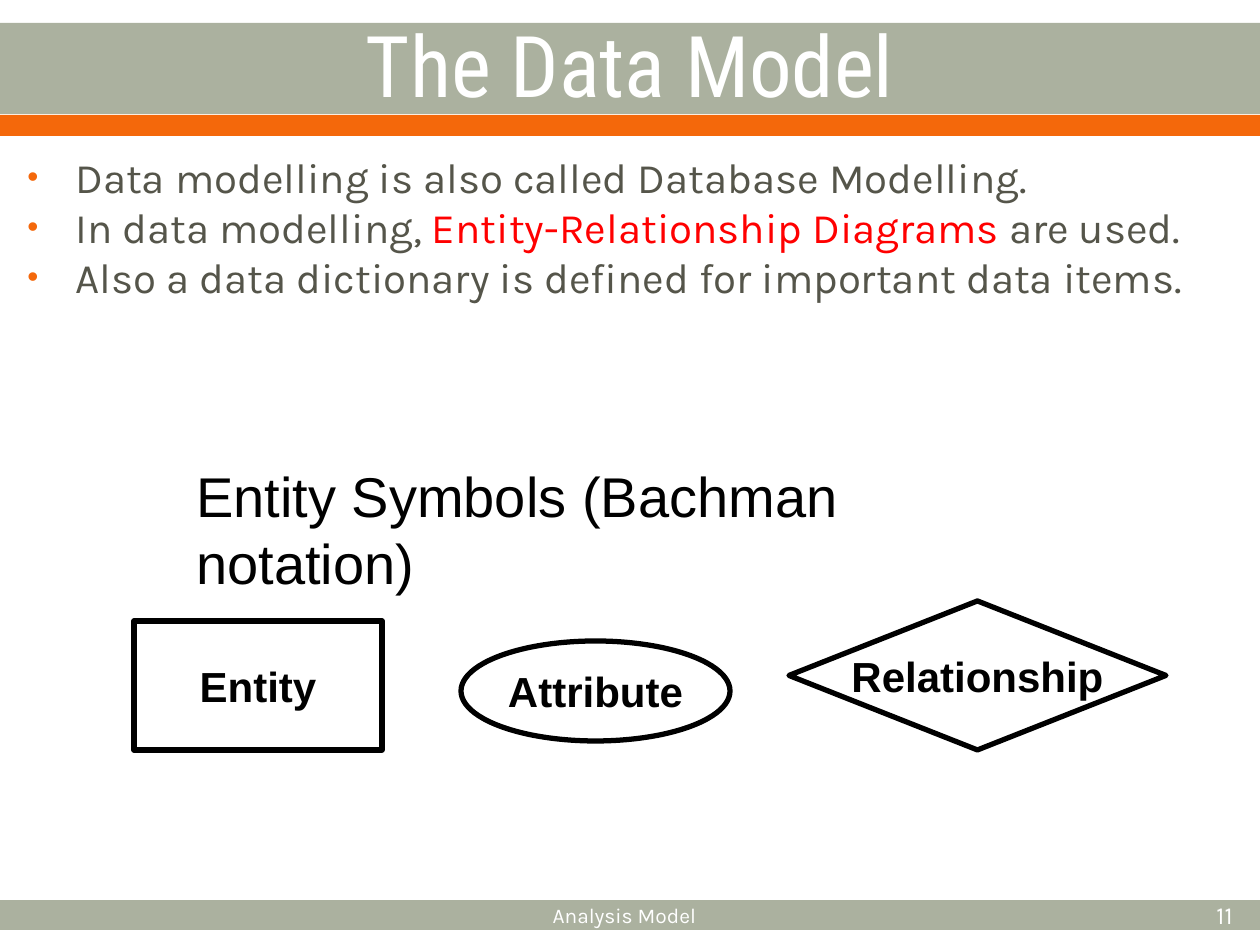
from lxml import etree
from pptx import Presentation
from pptx.dml.color import RGBColor
from pptx.enum.shapes import MSO_SHAPE
from pptx.enum.text import MSO_ANCHOR, MSO_AUTO_SIZE, PP_ALIGN
from pptx.oxml.ns import qn
from pptx.util import Pt

EMU_PER_PX = 914400 / 126
TITLE_ONLY = 5
RECTANGLE, OVAL = MSO_SHAPE.RECTANGLE, MSO_SHAPE.OVAL
DECISION = MSO_SHAPE.FLOWCHART_DECISION
LEFT, CENTER, RIGHT = PP_ALIGN.LEFT, PP_ALIGN.CENTER, PP_ALIGN.RIGHT
TOP, MIDDLE = MSO_ANCHOR.TOP, MSO_ANCHOR.MIDDLE
SAGE, ORANGE, WHITE, BLACK = "ABB19F", "F4680B", "FFFFFF", "000000"
BODY_GRAY, RED = "55554A", "FF0000"

BULLETS = [
    [("Data modelling is also called Database Modelling.", BODY_GRAY)],
    [("In data modelling, ", BODY_GRAY),
     ("Entity-Relationship Diagrams", RED),
     (" are used.", BODY_GRAY)],
    [("Also a data dictionary is defined for important data items.", BODY_GRAY)],
]
# Label, preset, and box relative to the diagram region
SYMBOLS = [
    ("Entity", RECTANGLE, (0, 20, 248, 129)),
    ("Attribute", OVAL, (327, 40, 269, 100)),
    ("Relationship", DECISION, (655, 0, 377, 149)),
]


def px(value):
    return round(value * EMU_PER_PX)


def color(hex_string):
    return RGBColor.from_string(hex_string)


def add_run(paragraph, text, font, size, hex_string, bold=False):
    run = paragraph.add_run()
    run.text = text
    run.font.name = font
    run.font.size = Pt(size)
    run.font.bold = bold
    run.font.color.rgb = color(hex_string)


def add_text(slide, box, text, font, size, hex_string, align=LEFT, anchor=TOP):
    frame = slide.shapes.add_textbox(*map(px, box)).text_frame
    frame.word_wrap = True
    frame.vertical_anchor = anchor
    paragraph = frame.paragraphs[0]
    paragraph.alignment = align
    add_run(paragraph, text, font, size, hex_string)


def add_band(slide, box, fill):
    band = slide.shapes.add_shape(RECTANGLE, *map(px, box))
    band.shadow.inherit = False
    band.fill.solid()
    band.fill.fore_color.rgb = color(fill)
    band.line.fill.background()


def add_bullet(paragraph):
    properties = paragraph._p.get_or_add_pPr()
    properties.set("marL", str(px(48)))
    properties.set("indent", str(px(-48)))
    bullet_color = etree.SubElement(properties, qn("a:buClr"))
    etree.SubElement(bullet_color, qn("a:srgbClr"), val=ORANGE)
    etree.SubElement(properties, qn("a:buSzPct"), val="75000")
    etree.SubElement(properties, qn("a:buFont"), typeface="Arial")
    etree.SubElement(properties, qn("a:buChar"), char="•")


def build_header(slide, box):
    left, top, width, height = box
    add_band(slide, (left, top, width, 91), SAGE)
    add_band(slide, (left, top + 92, width, height - 92), ORANGE)

    # Title sits in front of the bands
    title = slide.shapes.title
    title._element.getparent().append(title._element)
    title.left, title.top, title.width, title.height = map(
        px, (left, top + 1, width, 78))
    frame = title.text_frame
    frame.auto_size = MSO_AUTO_SIZE.NONE
    frame.vertical_anchor = MIDDLE
    paragraph = frame.paragraphs[0]
    paragraph.alignment = CENTER
    add_run(paragraph, "The Data Model", "Roboto Condensed", 48.6, WHITE)


def build_bullets(slide, box):
    frame = slide.shapes.add_textbox(*map(px, box)).text_frame
    frame.word_wrap = True
    for index, runs in enumerate(BULLETS):
        paragraph = frame.add_paragraph() if index else frame.paragraphs[0]
        add_bullet(paragraph)
        if index:
            paragraph.line_spacing = 0.8
            paragraph.space_before = Pt(5.5)
        for text, hex_string in runs:
            add_run(paragraph, text, "Karla", 24, hex_string)


def build_symbols(slide, box):
    left, top = box[:2]
    for label, preset, (x, y, width, height) in SYMBOLS:
        symbol = slide.shapes.add_shape(
            preset, px(left + x), px(top + y), px(width), px(height))
        symbol.shadow.inherit = False
        symbol.fill.background()
        symbol.line.color.rgb = color(BLACK)
        symbol.line.width = Pt(3)
        frame = symbol.text_frame
        frame.word_wrap = False
        frame.vertical_anchor = MIDDLE
        paragraph = frame.paragraphs[0]
        paragraph.alignment = CENTER
        add_run(paragraph, label, "Arial", 24, BLACK, bold=True)


def build_footer(slide, box):
    left, top, width, height = box
    add_band(slide, box, SAGE)
    text_top = top - 10
    add_text(slide, (left + 292, text_top, 665, 50), "Analysis Model",
             "Karla", 12, WHITE, CENTER, MIDDLE)
    add_text(slide, (left + 1027, text_top, 218, 50), "11",
             "Karla", 14, WHITE, RIGHT, MIDDLE)


def main():
    presentation = Presentation()
    presentation.slide_width = px(1260)
    presentation.slide_height = px(945)
    slide = presentation.slides.add_slide(presentation.slide_layouts[TITLE_ONLY])
    build_header(slide, (0, 23, 1260, 113))
    build_bullets(slide, (15, 145, 1230, 745))
    build_symbols(slide, (134, 601, 1032, 149))
    add_text(slide, (184, 455, 860, 146), "Entity Symbols (Bachman notation)",
             "Arial", 32, BLACK)
    build_footer(slide, (0, 900, 1260, 30))
    presentation.save("out.pptx")


if __name__ == "__main__":
    main()
